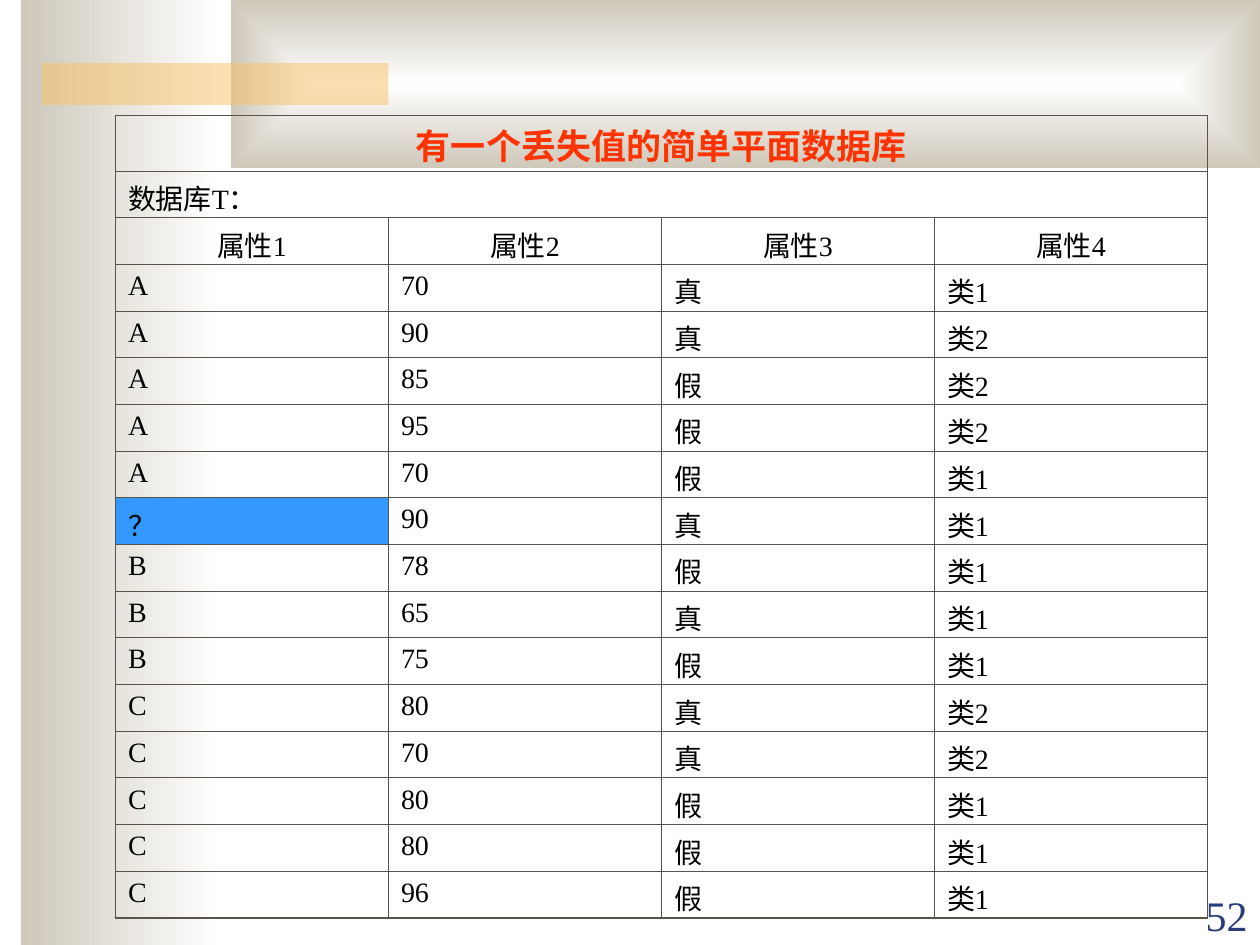
from dataclasses import dataclass

from lxml import etree
from pptx import Presentation
from pptx import util as u
from pptx.dml.color import RGBColor
from pptx.enum import shapes, text
from pptx.oxml import ns


@dataclass(frozen=True)
class Theme:
    font: str = "Times New Roman"
    white: str = "FFFFFF"
    beige: str = "CEC8BA"
    amber: str = "FAC164"
    border: str = "5B5249"
    title: str = "FF3300"
    body: str = "000000"
    missing: str = "3399FF"
    number: str = "2A3D7A"
    title_size: int = 20
    body_size: int = 16
    number_size: int = 24
    outer_line: float = 1.08
    inner_line: float = 0.45


THEME = Theme()
COLUMNS = 4
HEADER_ROWS = 3
TITLE_HEIGHT = 0.44
ROW_HEIGHT = 0.37
RECORDS = [
    ("A", 70, "真", 1),
    ("A", 90, "真", 2),
    ("A", 85, "假", 2),
    ("A", 95, "假", 2),
    ("A", 70, "假", 1),
    ("？", 90, "真", 1),
    ("B", 78, "假", 1),
    ("B", 65, "真", 1),
    ("B", 75, "假", 1),
    ("C", 80, "真", 2),
    ("C", 70, "真", 2),
    ("C", 80, "假", 1),
    ("C", 80, "假", 1),
    ("C", 96, "假", 1),
]


def add_child(parent, tag, **attributes):
    values = {name: str(value) for name, value in attributes.items()}
    return etree.SubElement(parent, ns.qn(tag), values)


def write_text(frame, content, size=THEME.body_size, color=THEME.body,
               bold=False, align=text.PP_ALIGN.LEFT, space_before=0):
    paragraph = frame.paragraphs[0]
    paragraph.alignment = align
    paragraph.space_before = u.Pt(space_before)
    run = paragraph.add_run()
    run.text = content
    run.font.name = THEME.font
    run.font.size = u.Pt(size)
    run.font.bold = bold
    run.font.color.rgb = RGBColor.from_string(color)


def add_rectangle(slide, left, top, width, height, color):
    shape = slide.shapes.add_shape(
        shapes.MSO_SHAPE.RECTANGLE, u.Inches(left), u.Inches(top),
        u.Inches(width), u.Inches(height))
    shape.shadow.inherit = False
    shape.line.fill.background()
    shape.fill.solid()
    shape.fill.fore_color.rgb = RGBColor.from_string(color)
    return shape


def set_transparency(shape, percent):
    color = shape.fill._xPr.find(ns.qn("a:solidFill"))[0]
    add_child(color, "a:alpha", val=(100 - percent) * 1000)


def set_gradient(shape, from_center=False):
    properties = shape.fill._xPr
    solid = properties.find(ns.qn("a:solidFill"))
    gradient = etree.Element(ns.qn("a:gradFill"), rotWithShape="1")
    stops = add_child(gradient, "a:gsLst")
    for position, color in ((0, THEME.white), (100000, THEME.beige)):
        stop = add_child(stops, "a:gs", pos=position)
        add_child(stop, "a:srgbClr", val=color)
    if from_center:
        center = add_child(gradient, "a:path", path="rect")
        add_child(center, "a:fillToRect", l=50000, t=50000, r=50000, b=50000)
    else:
        add_child(gradient, "a:lin", ang=180 * 60000, scaled=1)
    properties.replace(solid, gradient)


def set_borders(cell, outer_edges):
    properties = cell._tc.get_or_add_tcPr()
    for index, edge in enumerate("LRTB"):
        width = THEME.outer_line if edge in outer_edges else THEME.inner_line
        line = etree.Element(ns.qn(f"a:ln{edge}"), w=str(u.Pt(width)))
        fill = add_child(line, "a:solidFill")
        add_child(fill, "a:srgbClr", val=THEME.border)
        properties.insert(index, line)


def add_background(slide):
    set_gradient(add_rectangle(slide, 1 / 6, 0, 1.58, 7.5, THEME.beige))
    set_gradient(add_rectangle(slide, 11 / 6, 0, 49 / 6, 4 / 3, THEME.beige),
                 from_center=True)
    set_transparency(
        add_rectangle(slide, 1 / 3, 0.5, 2.75, 1 / 3, THEME.amber), 50)


def format_cells(table):
    last_row, last_column = len(table.rows) - 1, COLUMNS - 1
    for row in range(last_row + 1):
        for column in range(COLUMNS):
            cell = table.cell(row, column)
            right = column + cell.span_width - 1 if cell.is_merge_origin else column
            sides = {"L": column == 0, "R": right == last_column,
                     "T": row == 0, "B": row == last_row}
            set_borders(cell, {edge for edge, outer in sides.items() if outer})
            cell.fill.background()
            cell.margin_top = u.Inches(0.03 if row == 0 else 0.05)
            cell.margin_bottom = 0


def add_database_table(slide):
    row_count = HEADER_ROWS + len(RECORDS)
    height = TITLE_HEIGHT + ROW_HEIGHT * (row_count - 1)
    table = slide.shapes.add_table(
        row_count, COLUMNS, u.Inches(11 / 12), u.Inches(11 / 12),
        u.Inches(26 / 3), u.Inches(height)).table
    table.first_row = table.horz_banding = False
    for row in table.rows:
        row.height = u.Inches(ROW_HEIGHT)
    table.rows[0].height = u.Inches(TITLE_HEIGHT)
    for row in range(2):
        table.cell(row, 0).merge(table.cell(row, COLUMNS - 1))
    format_cells(table)

    center = text.PP_ALIGN.CENTER
    write_text(table.cell(0, 0).text_frame, "有一个丢失值的简单平面数据库",
               size=THEME.title_size, color=THEME.title, bold=True,
               align=center, space_before=5)
    write_text(table.cell(1, 0).text_frame, "数据库T：", space_before=4)
    for column in range(COLUMNS):
        write_text(table.cell(2, column).text_frame, f"属性{column + 1}",
                   align=center, space_before=4)
    for row, (group, value, flag, category) in enumerate(RECORDS, HEADER_ROWS):
        for column, content in enumerate((group, str(value), flag, f"类{category}")):
            cell = table.cell(row, column)
            write_text(cell.text_frame, content, space_before=4)
            if content == "？":
                cell.fill.solid()
                cell.fill.fore_color.rgb = RGBColor.from_string(THEME.missing)


def add_page_number(slide, number):
    box = slide.shapes.add_textbox(
        u.Inches(9), u.Inches(7.01), u.Inches(1), u.Inches(0.5))
    frame = box.text_frame
    frame.word_wrap = True
    frame.vertical_anchor = text.MSO_ANCHOR.BOTTOM
    write_text(frame, str(number), size=THEME.number_size, color=THEME.number,
               align=text.PP_ALIGN.RIGHT)


def main():
    presentation = Presentation()
    presentation.slide_width = u.Inches(10)
    presentation.slide_height = u.Inches(7.5)
    slide = presentation.slides.add_slide(presentation.slide_layouts[6])
    add_background(slide)
    add_database_table(slide)
    add_page_number(slide, 52)
    presentation.save("out.pptx")


if __name__ == "__main__":
    main()
